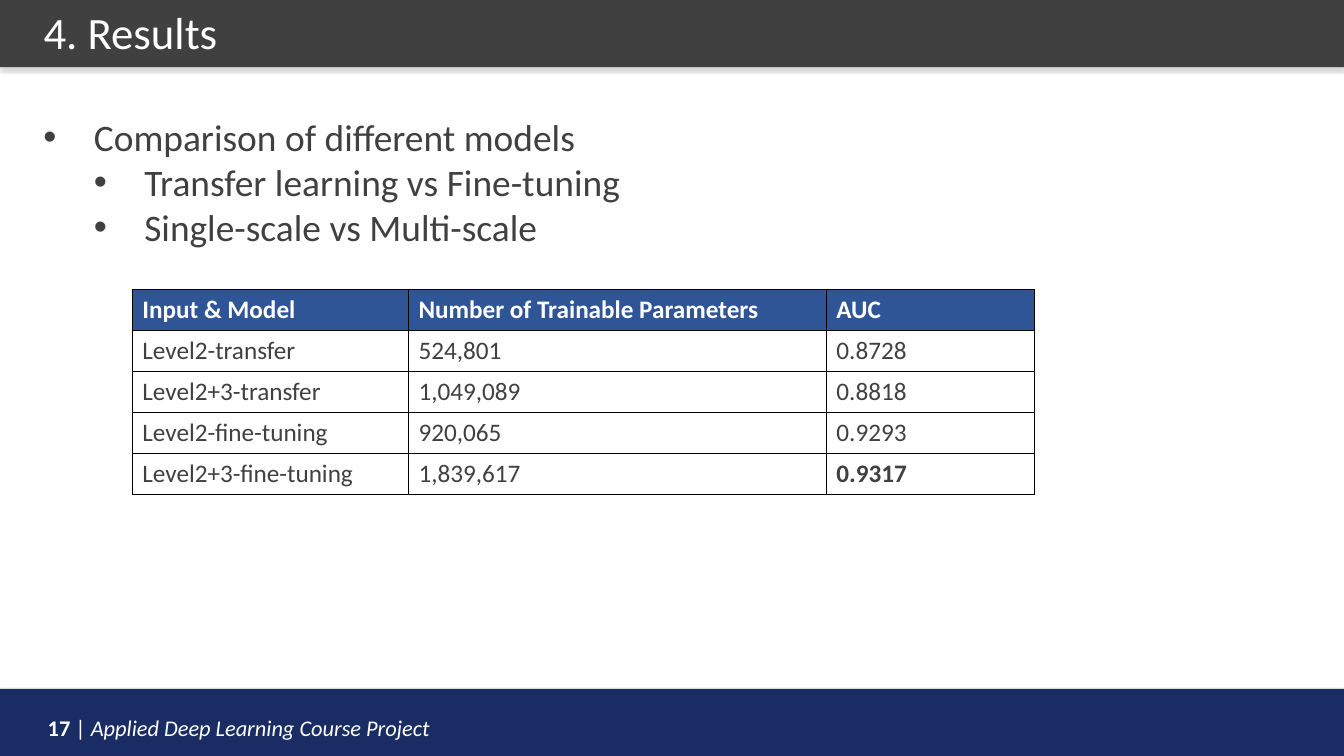
from lxml import etree
from pptx import Presentation
from pptx import util as u
from pptx.dml import color
from pptx.enum import shapes, text
from pptx.oxml import ns

PX = 9525
WIDTH, HEIGHT, BAR = 1280, 720, 64
INDENT = 48
COLORS = {
    "charcoal": "404040",
    "navy": "1A2C64",
    "header": "2F5597",
    "white": "FFFFFF",
    "black": "000000",
    "shadow": "808080",
}


def px(value):
    return u.Emu(value * PX)


def rgb(name):
    return color.RGBColor.from_string(COLORS[name])


def add_xml(parent, tag, **attributes):
    child = etree.SubElement(parent, ns.qn(tag))
    for key, value in attributes.items():
        child.set(key, str(value))
    return child


class SlideBuilder:
    font = "Calibri"

    def __init__(self, page):
        self.page = page

    def span(self, para, words, size, ink, bold=False, italic=False):
        span = para.add_run()
        span.text = words
        span.font.name = self.font
        span.font.size = u.Pt(size)
        span.font.color.rgb = rgb(ink)
        span.font.bold = bold
        span.font.italic = italic

    def bar(self, top, fill):
        bar = self.page.shapes.add_shape(
            shapes.MSO_SHAPE.RECTANGLE, 0, px(top), px(WIDTH), px(BAR))
        bar.fill.solid()
        bar.fill.fore_color.rgb = rgb(fill)
        bar.line.fill.background()
        bar.shadow.inherit = False
        effects = bar._element.spPr.find(ns.qn("a:effectLst"))
        shadow = add_xml(effects, "a:outerShdw", blurRad=u.Pt(3.1),
                         dist=u.Pt(1.8), dir=90 * 60000, rotWithShape=0)
        tint = add_xml(shadow, "a:srgbClr", val=COLORS["shadow"])
        add_xml(tint, "a:alpha", val=35000)

    def box(self, left, top, width, height):
        box = self.page.shapes.add_textbox(px(left), px(top), px(width), px(height))
        box.text_frame.word_wrap = True
        return box.text_frame

    def title(self, words):
        frame = self.box(32, 0, 608, 61)
        frame.vertical_anchor = text.MSO_ANCHOR.MIDDLE
        self.span(frame.paragraphs[0], words, 32, "white")

    def bullets(self, items):
        frame = self.box(32, 104, 1227, 268)
        for index, (level, words) in enumerate(items):
            para = frame.add_paragraph() if index else frame.paragraphs[0]
            para.level = level
            props = para._p.get_or_add_pPr()
            props.set("marL", str(px(INDENT * (level + 1))))
            props.set("indent", str(px(-INDENT)))
            add_xml(props, "a:buFont", typeface="Arial")
            add_xml(props, "a:buChar", char="•")
            self.span(para, words, 26.7, "charcoal")

    def footer(self, number, words):
        para = self.box(36, 658, 949, 48).paragraphs[0]
        para.line_spacing = u.Pt(32)
        self.span(para, f"{number} ", 16, "white", bold=True)
        self.span(para, "| ", 16, "white")
        self.span(para, words, 16, "white", italic=True)

    def borders(self, cell):
        props = cell._tc.get_or_add_tcPr()
        for side in "LRTB":
            line = add_xml(props, f"a:ln{side}", w=u.Pt(1))
            fill = add_xml(line, "a:solidFill")
            add_xml(fill, "a:srgbClr", val=COLORS["black"])

    def table(self, left, top, widths, row_height, rows, best):
        table = self.page.shapes.add_table(
            len(rows), len(widths), px(left), px(top),
            px(sum(widths)), px(row_height * len(rows))).table
        table.horz_banding = False
        for column, width in zip(table.columns, widths):
            column.width = px(width)
        for r, values in enumerate(rows):
            table.rows[r].height = px(row_height)
            for c, value in enumerate(values):
                cell = table.cell(r, c)
                self.borders(cell)
                if r == 0:
                    cell.fill.solid()
                    cell.fill.fore_color.rgb = rgb("header")
                else:
                    cell.fill.background()
                self.span(cell.text_frame.paragraphs[0], value, 18,
                          "charcoal" if r else "white",
                          bold=r == 0 or value == best)


def main():
    deck = Presentation()
    deck.slide_width, deck.slide_height = px(WIDTH), px(HEIGHT)
    slide = SlideBuilder(deck.slides.add_slide(deck.slide_layouts[6]))
    slide.bar(0, "charcoal")
    slide.title("4. Results")
    slide.bullets([
        (0, "Comparison of different models"),
        (1, "Transfer learning vs Fine-tuning"),
        (1, "Single-scale vs Multi-scale"),
    ])
    slide.bar(HEIGHT - BAR, "navy")
    slide.footer(17, "Applied Deep Learning Course Project")
    slide.table(126, 276, [263, 398, 198], 39, [
        ("Input & Model", "Number of Trainable Parameters", "AUC"),
        ("Level2-transfer", "524,801", "0.8728"),
        ("Level2+3-transfer", "1,049,089", "0.8818"),
        ("Level2-fine-tuning", "920,065", "0.9293"),
        ("Level2+3-fine-tuning", "1,839,617", "0.9317"),
    ], best="0.9317")
    deck.save("out.pptx")


if __name__ == "__main__":
    main()
